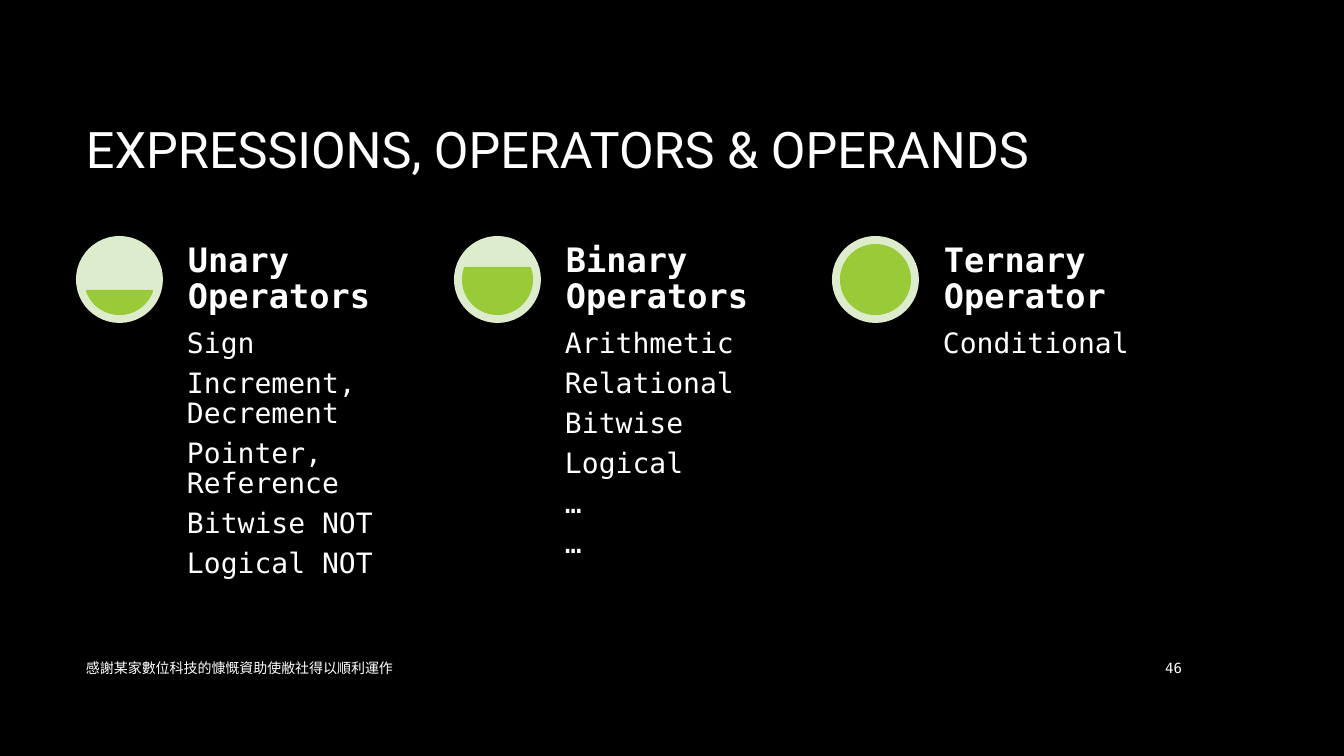
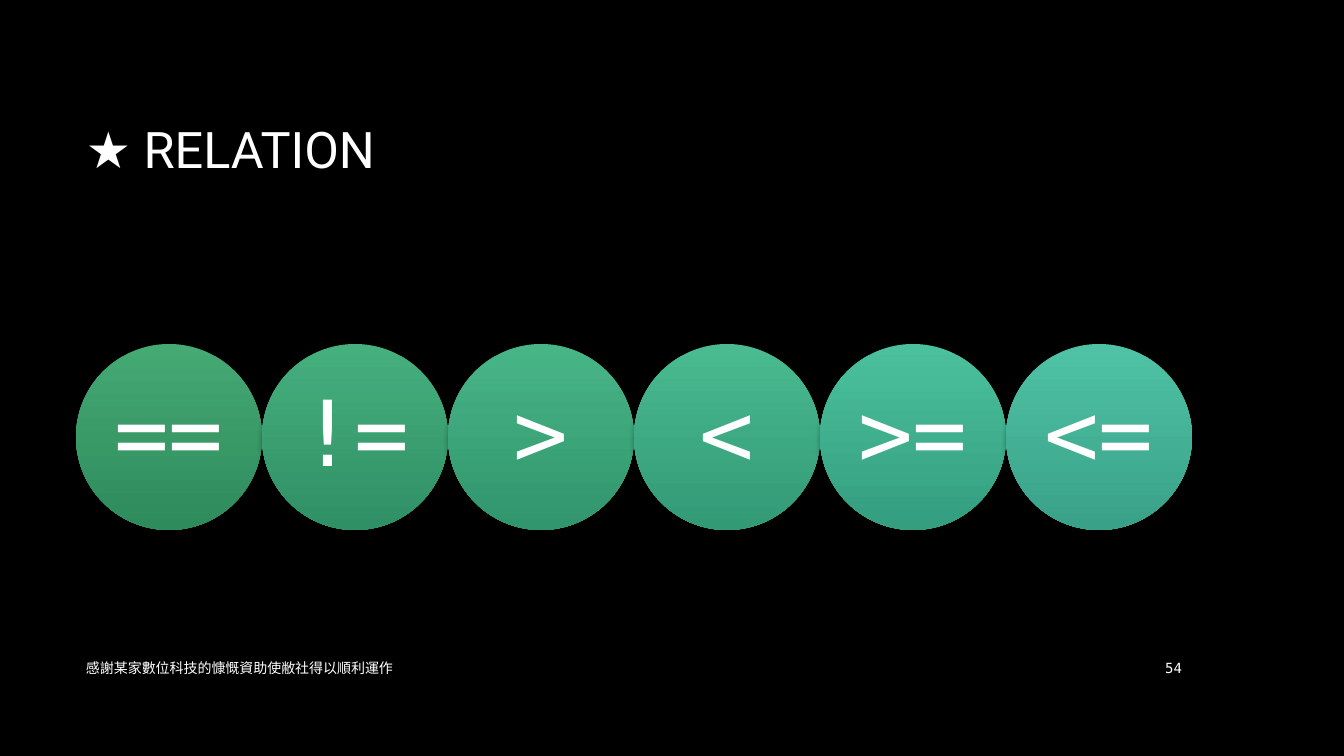
from dataclasses import dataclass

from lxml.etree import SubElement
from pptx import Presentation
from pptx.dml.color import RGBColor
from pptx.enum.shapes import MSO_SHAPE as Preset
from pptx.enum.text import MSO_ANCHOR as Anchor, PP_ALIGN as Align
from pptx.oxml.ns import qn
from pptx.shapes.autoshape import Shape
from pptx.slide import Slide
from pptx.util import Emu, Pt

SLIDE_WIDTH, SLIDE_HEIGHT = 1344, 756
EMU_PER_PX = 12192000 / SLIDE_WIDTH

BLACK = "000000"
WHITE = "FFFFFF"
PALE_GREEN = "DEECCE"
LIME = "99CB38"

TITLE_FONT = "Roboto"
BODY_FONT = "DejaVu Sans Mono"

MARGIN = 76
FOOTER_TOP, FOOTER_HEIGHT = 647, 41
FOOTER = "感謝某家數位科技的慷慨資助使敝社得以順利運作"


@dataclass(frozen=True)
class Box:
    left: int
    top: int
    width: int
    height: int


@dataclass(frozen=True)
class TextStyle:
    size: int
    font: str = BODY_FONT
    bold: bool = False
    align: Align = Align.LEFT
    anchor: Anchor = Anchor.MIDDLE
    side_inset: int = 10
    end_inset: int = 5
    line_spacing: float = 1.0
    space_after: int = 0


@dataclass(frozen=True)
class OperatorGroup:
    heading: str
    items: tuple[str, ...]
    level_angle: float


@dataclass(frozen=True)
class Relation:
    symbol: str
    top_color: str
    bottom_color: str


TITLE_STYLE = TextStyle(36, TITLE_FONT)
FOOTER_STYLE = TextStyle(10)
NUMBER_STYLE = TextStyle(10, align=Align.RIGHT)
HEADING_STYLE = TextStyle(24, bold=True, anchor=Anchor.BOTTOM, side_inset=7,
                          end_inset=7, line_spacing=0.9)
ITEM_STYLE = TextStyle(20, anchor=Anchor.TOP, side_inset=6, end_inset=6,
                       line_spacing=0.9, space_after=7)
SYMBOL_STYLE = TextStyle(65, align=Align.CENTER, side_inset=0, end_inset=0,
                         line_spacing=0.9)

OPERATOR_GROUPS = (
    OperatorGroup("Unary Operators",
                  ("Sign", "Increment, Decrement", "Pointer, Reference",
                   "Bitwise NOT", "Logical NOT"), 19.47),
    OperatorGroup("Binary Operators",
                  ("Arithmetic", "Relational", "Bitwise", "Logical", "…", "…"), 340.53),
    OperatorGroup("Ternary Operator", ("Conditional",), 270),
)

RELATIONS = (
    Relation("==", "45A974", "2E8B5C"),
    Relation("!=", "46AF7E", "2F9065"),
    Relation(">", "48B587", "31956D"),
    Relation("<", "49BA91", "339A76"),
    Relation(">=", "4BC09C", "349E7F"),
    Relation("<=", "4FC2A6", "39A188"),
)


def px(length: int) -> Emu:
    return Emu(round(length * EMU_PER_PX))


def color(value: str) -> RGBColor:
    return RGBColor.from_string(value)


def place(box: Box) -> tuple[Emu, Emu, Emu, Emu]:
    return px(box.left), px(box.top), px(box.width), px(box.height)


def write_text(shape: Shape, lines: tuple[str, ...], style: TextStyle) -> None:
    frame = shape.text_frame
    frame.word_wrap = True
    frame.vertical_anchor = style.anchor
    frame.margin_left = frame.margin_right = px(style.side_inset)
    frame.margin_top = frame.margin_bottom = px(style.end_inset)
    frame.text = "\n".join(lines)
    for paragraph in frame.paragraphs:
        paragraph.alignment = style.align
        paragraph.line_spacing = style.line_spacing
        paragraph.space_after = Pt(style.space_after)
        font = paragraph.font
        font.name = style.font
        font.size = Pt(style.size)
        font.bold = style.bold
        font.color.rgb = color(WHITE)


def add_text(slide: Slide, box: Box, lines: tuple[str, ...], style: TextStyle) -> None:
    write_text(slide.shapes.add_textbox(*place(box)), lines, style)


def add_plain_shape(slide: Slide, preset: Preset, box: Box) -> Shape:
    """Add a preset shape with neither outline nor shadow."""
    shape = slide.shapes.add_shape(preset, *place(box))
    shape.line.fill.background()
    shape.shadow.inherit = False
    return shape


def add_soft_shadow(shape: Shape) -> None:
    effects = shape._element.spPr.find(qn("a:effectLst"))
    shadow = SubElement(effects, qn("a:outerShdw"), blurRad=str(Pt(4)),
                        dist=str(Pt(3)), dir=str(90 * 60000), rotWithShape="0")
    shade = SubElement(shadow, qn("a:srgbClr"), val=BLACK)
    SubElement(shade, qn("a:alpha"), val="35000")


def add_base_slide(presentation: Presentation, title: str, number: int) -> Slide:
    """Add a blank slide with the shared title, footer and number."""
    slide = presentation.slides.add_slide(presentation.slide_layouts[6])
    add_text(slide, Box(1132, FOOTER_TOP, 60, FOOTER_HEIGHT), (str(number),), NUMBER_STYLE)
    add_text(slide, Box(MARGIN, FOOTER_TOP, 863, FOOTER_HEIGHT), (FOOTER,), FOOTER_STYLE)
    add_text(slide, Box(MARGIN, 68, 1117, 160), (title,), TITLE_STYLE)
    return slide


def add_gauge(slide: Slide, left: int, top: int, size: int, level_angle: float) -> None:
    """Add a disc filled up to the chord that starts at level_angle degrees."""
    disc = add_plain_shape(slide, Preset.OVAL, Box(left, top, size, size))
    disc.fill.solid()
    disc.fill.fore_color.rgb = color(PALE_GREEN)

    inset = 9
    inner = size - 2 * inset
    level = add_plain_shape(slide, Preset.CHORD,
                            Box(left + inset, top + inset, inner, inner))
    for index, angle in enumerate((level_angle, (180 - level_angle) % 360)):
        level.adjustments[index] = angle * 60000 / 100000
    level.fill.solid()
    level.fill.fore_color.rgb = color(LIME)
    level.line.color.rgb = color(LIME)
    level.line.width = Pt(1.5)


def add_operators_slide(presentation: Presentation) -> None:
    slide = add_base_slide(presentation, "EXPRESSIONS, OPERATORS & OPERANDS", 46)
    top, size, pitch, text_offset, text_width = 236, 87, 378, 105, 256
    for index, group in enumerate(OPERATOR_GROUPS):
        left = MARGIN + index * pitch
        text_left = left + text_offset
        add_gauge(slide, left, top, size, group.level_angle)
        add_text(slide, Box(text_left, top + size, text_width, 364),
                 group.items, ITEM_STYLE)
        add_text(slide, Box(text_left, top, text_width, size),
                 (group.heading,), HEADING_STYLE)


def add_relation_slide(presentation: Presentation) -> None:
    slide = add_base_slide(presentation, "★ RELATION", 54)
    size = 186
    for index, relation in enumerate(RELATIONS):
        circle = add_plain_shape(slide, Preset.OVAL,
                                 Box(MARGIN + index * size, 344, size, size))
        circle.fill.gradient()
        circle.fill.gradient_angle = 270
        for stop, value in zip(circle.fill.gradient_stops,
                               (relation.top_color, relation.bottom_color)):
            stop.color.rgb = color(value)
        add_soft_shadow(circle)
        write_text(circle, (relation.symbol,), SYMBOL_STYLE)


def main() -> None:
    presentation = Presentation()
    presentation.slide_width = px(SLIDE_WIDTH)
    presentation.slide_height = px(SLIDE_HEIGHT)
    background = presentation.slide_master.background.fill
    background.solid()
    background.fore_color.rgb = color(BLACK)
    add_operators_slide(presentation)
    add_relation_slide(presentation)
    presentation.save("out.pptx")


if __name__ == "__main__":
    main()
